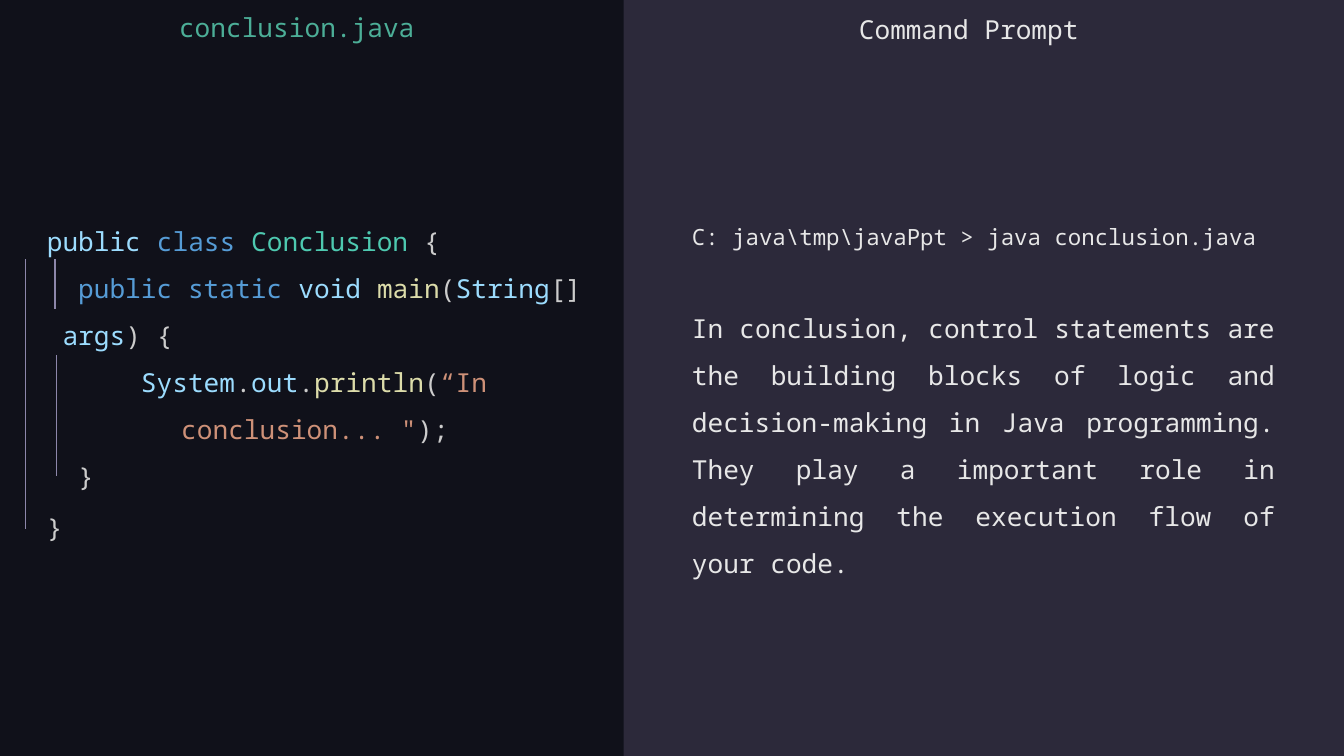
from dataclasses import dataclass

from lxml import etree
from pptx import Presentation
from pptx import util as u
from pptx.dml.color import RGBColor
from pptx.enum import shapes, text
from pptx.oxml.ns import qn


@dataclass(frozen=True)
class Theme:
    font: str = "Noto Sans Mono"
    body: int = 14
    prompt: int = 12
    background: str = "10111A"
    panel: str = "2C293A"
    guide: str = "8D87AA"
    title: str = "4CAE97"
    light: str = "E7E7E7"
    variable: str = "9CDCFE"
    keyword: str = "569CD6"
    type_name: str = "4EC9B0"
    method: str = "DCDCAA"
    string: str = "CE9178"
    plain: str = "CCCCCC"


THEME = Theme()
WIDTH = 10
HEIGHT = WIDTH * 9 / 16
SPLIT = 4.64
LEFT_PANE = (0, 0, SPLIT, HEIGHT)
RIGHT_PANE = (SPLIT, 0, WIDTH - SPLIT, HEIGHT)

# Each line: its (text, colour) runs and its paragraph format.
CODE = [
    ([("public ", THEME.variable), ("class ", THEME.keyword),
      ("Conclusion", THEME.type_name), (" {", THEME.plain)], {}),
    ([("  public static ", THEME.keyword), ("void ", THEME.variable),
      ("main", THEME.method), ("(", THEME.plain), ("String", THEME.variable),
      ("[]  ", THEME.plain), ("args", THEME.variable), (") {", THEME.plain)], {}),
    ([("      System", THEME.variable), (".", THEME.plain),
      ("out", THEME.variable), (".", THEME.plain), ("println", THEME.method),
      ("(", THEME.plain), ("“In", THEME.string)], {}),
    ([('conclusion... "', THEME.string), (");", THEME.plain)], {"indent": 1}),
    ([("  }", THEME.plain)], {}),
    ([("}", THEME.plain)], {"before": 2}),
]


def write(frame, runs, size=THEME.body, align=text.PP_ALIGN.LEFT,
          spacing=1.5, before=0, indent=0):
    """Fill the frame's empty first paragraph, or add one after the others."""
    paragraph = frame.paragraphs[0]
    if paragraph.runs:
        paragraph = frame.add_paragraph()
    paragraph.alignment = align
    paragraph.line_spacing = spacing
    if before:
        paragraph.space_before = u.Pt(before)
    if indent:
        paragraph._p.get_or_add_pPr().set("marL", str(u.Inches(indent)))
    for words, color in runs:
        run = paragraph.add_run()
        run.text = words
        run.font.name = THEME.font
        run.font.size = u.Pt(size)
        run.font.color.rgb = RGBColor.from_string(color)


def add_text_box(slide, left, top, width, height):
    box = slide.shapes.add_textbox(*map(u.Inches, (left, top, width, height)))
    box.text_frame.word_wrap = True
    return box


def place_heading(shape, left, top, words, color):
    shape.left, shape.top = u.Inches(left), u.Inches(top)
    shape.width, shape.height = u.Inches(5), u.Inches(0.39)
    frame = shape.text_frame
    frame.word_wrap = True
    frame.auto_size = text.MSO_AUTO_SIZE.NONE
    frame.vertical_anchor = text.MSO_ANCHOR.MIDDLE
    frame.margin_left = frame.margin_right = u.Inches(0.1)
    frame.margin_top = frame.margin_bottom = u.Inches(0.1)
    write(frame, [(words, color)], align=text.PP_ALIGN.CENTER, spacing=1)


def add_guide(slide, x, top, bottom):
    """Draw a vertical indentation guide."""
    guide = slide.shapes.add_connector(
        shapes.MSO_CONNECTOR.STRAIGHT, *map(u.Inches, (x, top, x, bottom)))
    guide.line.color.rgb = RGBColor.from_string(THEME.guide)
    guide.line.width = u.Pt(0.75)
    etree.SubElement(guide._element.spPr, qn("a:effectLst"))


def add_code_pane(slide, left, top, width, height):
    place_heading(slide.shapes.title, left - 0.29, top + 0.01,
                  "conclusion.java", THEME.title)
    code = add_text_box(slide, left + 0.25, top + 1.51, width - 0.42, 2.56)
    for runs, layout in CODE:
        write(code.text_frame, runs, **layout)
    for x, start, end in ((0.19, 1.93, 3.94), (0.41, 1.93, 2.3), (0.42, 2.64, 3.54)):
        add_guide(slide, left + x, top + start, top + end)


def add_prompt_pane(slide, left, top, width, height):
    panel = slide.shapes.add_shape(
        shapes.MSO_SHAPE.RECTANGLE, *map(u.Inches, (left, top, width, height)))
    panel.shadow.inherit = False
    panel.fill.solid()
    panel.fill.fore_color.rgb = RGBColor.from_string(THEME.panel)
    panel.line.fill.background()

    heading = add_text_box(slide, left, top, width, 0.39)
    place_heading(heading, left + 0.07, top + 0.02, "Command Prompt", THEME.light)

    output = add_text_box(slide, left + 0.41, top + 1.51, width - 0.82, 2.84)
    write(output.text_frame,
          [(r"C: java\tmp\javaPpt > java conclusion.java", THEME.light)],
          size=THEME.prompt)
    write(output.text_frame,
          [("In conclusion, control statements are the building blocks of logic "
            "and decision-making in Java programming. They play a important role "
            "in determining the execution flow of your code.", THEME.light)],
          align=text.PP_ALIGN.JUSTIFY, before=25)


def main():
    presentation = Presentation()
    presentation.slide_width = u.Inches(WIDTH)
    presentation.slide_height = u.Inches(HEIGHT)
    slide = presentation.slides.add_slide(presentation.slide_layouts[5])
    slide.background.fill.solid()
    slide.background.fill.fore_color.rgb = RGBColor.from_string(THEME.background)
    add_prompt_pane(slide, *RIGHT_PANE)
    add_code_pane(slide, *LEFT_PANE)
    presentation.save("out.pptx")


if __name__ == "__main__":
    main()
